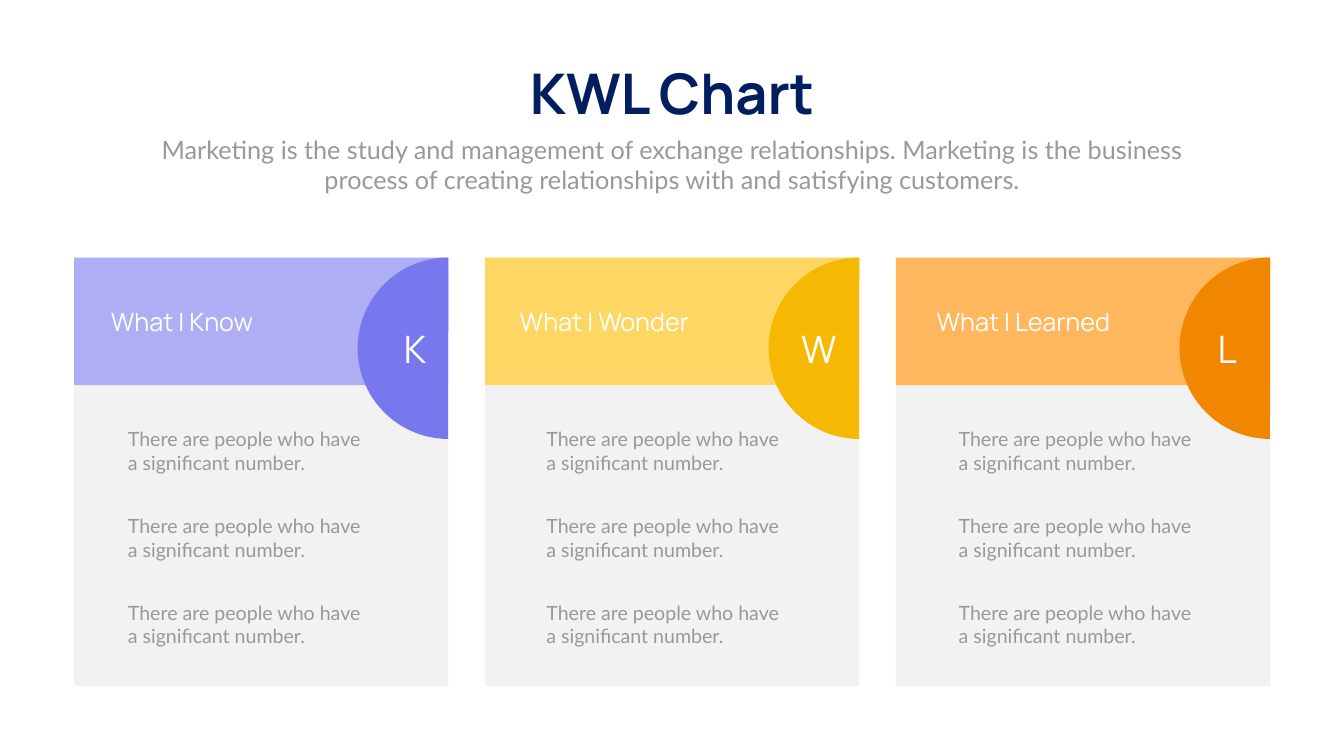
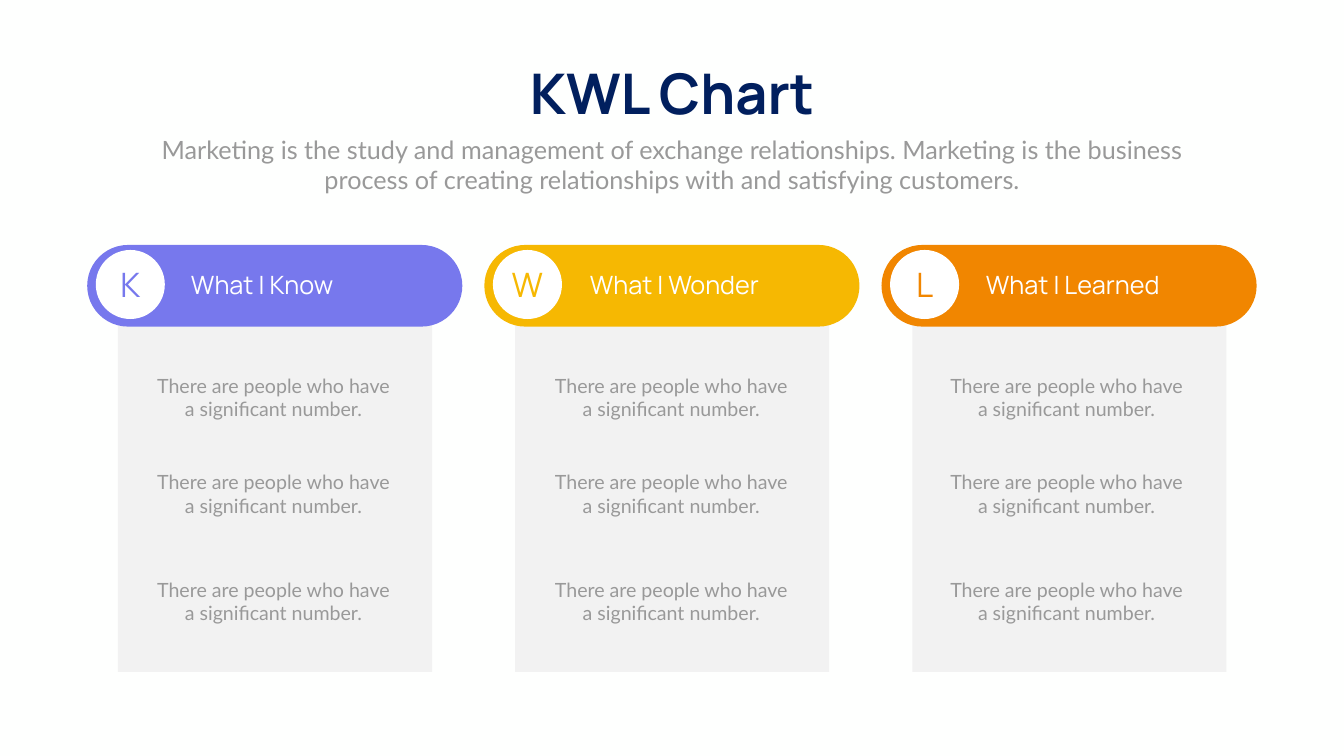
import dataclasses
import pptx
import pptx.util
import pptx.dml.color
import pptx.enum.shapes
import pptx.enum.text

KIND = pptx.enum.shapes.MSO_SHAPE
ALIGN = pptx.enum.text.PP_ALIGN
FIT = pptx.enum.text.MSO_AUTO_SIZE
MIDDLE = pptx.enum.text.MSO_ANCHOR.MIDDLE


@dataclasses.dataclass(frozen=True)
class Theme:
    width: float = 26.66
    height: float = 15
    cols: int = 80
    rows: int = 45
    head: str = "Manrope"
    body: str = "Lato"
    back: str = "FEFFFE"
    navy: str = "011F5E"
    gray: str = "999999"
    panel: str = "F2F2F2"
    white: str = "FFFFFF"
    bold: tuple = ("7778ED", "F6B802", "F18600")
    pale: tuple = ("ADAEF4", "FED663", "FFB75E")
    title: int = 80
    lead: int = 36
    small: int = 28
    large: int = 54
    mark: int = 48


TITLE = "KWL Chart"
LEAD = ("Marketing is the study and management of exchange relationships. "
        "Marketing is the business process of creating relationships with "
        "and satisfying customers.")
HEADS = ("What I Know", "What I Wonder", "What I Learned")
MARKS = "KWL"
POINT = "There are people who have a significant number."


def paint(fill, color):
    fill.solid()
    fill.fore_color.rgb = pptx.dml.color.RGBColor.from_string(color)


def write(frame, text, *, size, color, font, bold=False, align=ALIGN.LEFT):
    para = frame.paragraphs[0]
    para.alignment = align
    run = para.add_run()
    run.text = text
    run.font.name = font
    run.font.size = pptx.util.Pt(size)
    run.font.bold = bold
    run.font.color.rgb = pptx.dml.color.RGBColor.from_string(color)


class Deck:
    def __init__(self, theme):
        self.theme = theme
        self.file = pptx.Presentation()
        self.file.slide_width = pptx.util.Inches(theme.width)
        self.file.slide_height = pptx.util.Inches(theme.height)
        self.slide = None

    def place(self, left, top, wide, high):
        col = self.file.slide_width / self.theme.cols
        row = self.file.slide_height / self.theme.rows
        return [round(n * unit) for n, unit in
                ((left, col), (top, row), (wide, col), (high, row))]

    def start(self):
        look = self.theme
        self.slide = self.file.slides.add_slide(self.file.slide_layouts[6])
        paint(self.slide.background.fill, look.back)
        self.text(TITLE, (30.63, 3.36, 18.75, 4.35), wrap=False, size=look.title,
                  color=look.navy, font=look.head, bold=True, align=ALIGN.CENTER)
        self.text(LEAD, (8.76, 7.83, 62.48, 3.93), size=look.lead,
                  color=look.gray, font=look.body, align=ALIGN.CENTER)

    def text(self, text, box, wrap=True, **form):
        frame = self.slide.shapes.add_textbox(*self.place(*box)).text_frame
        frame.word_wrap = wrap
        frame.auto_size = FIT.SHAPE_TO_FIT_TEXT
        write(frame, text, **form)

    def shape(self, kind, box, fill, turns=()):
        item = self.slide.shapes.add_shape(kind, *self.place(*box))
        item.shadow.inherit = False
        item.line.fill.background()
        paint(item.fill, fill)
        for i, turn in enumerate(turns):
            item.adjustments[i] = turn
        return item

    def disc(self, mark, box, color):
        look = self.theme
        frame = self.shape(KIND.OVAL, box, look.white).text_frame
        frame.vertical_anchor = MIDDLE
        write(frame, mark, size=look.mark, color=color, font=look.head,
              align=ALIGN.CENTER)

    def label(self, text, box):
        look = self.theme
        self.text(text, box, size=look.lead, color=look.white, font=look.head)

    def points(self, left, tops, align=ALIGN.LEFT):
        look = self.theme
        for top in tops:
            self.text(POINT, (left, top, 15.03, 3.12), size=look.small,
                      color=look.gray, font=look.body, align=align)


def cards(deck):
    look = deck.theme
    deck.start()
    top, wide = 15.33, 22.27
    tops = [25.29 + 5.16 * i for i in range(3)]
    spots = ((6.3, 22.09, 7.32), (30.64, 46.12, 32.23), (55.45, 70.43, 56.77))
    for i, (head, mark, point) in enumerate(spots):
        left = 4.41 + 24.46 * i
        deck.shape(KIND.RECTANGLE, (left, top, wide, 25.5), look.panel)
        deck.shape(KIND.RECTANGLE, (left, top, wide, 7.59), look.pale[i])
        deck.shape(KIND.CHORD, (left + 16.88, top, 10.8, 10.8), look.bold[i],
                   turns=(54.1, 162))
        deck.label(HEADS[i], (head, 18.06, 11.97, 2.13))
        deck.text(MARKS[i], (mark, 19.23, 5.25, 3.03), size=look.large,
                  color=look.white, font=look.head, align=ALIGN.CENTER)
        deck.points(point, tops)


def pills(deck):
    look = deck.theme
    deck.start()
    spots = ((11.07, 8.76), (34.81, 32.44), (58.39, 55.97))
    for i, (head, point) in enumerate(spots):
        left = 5.19 + 23.64 * i
        deck.shape(KIND.RECTANGLE, (left + 1.83, 17.82, 18.7, 22.17), look.panel)
        deck.shape(KIND.ROUNDED_RECTANGLE, (left, 14.58, 22.33, 4.86),
                   look.bold[i], turns=(0.5,))
        deck.disc(MARKS[i], (left + 0.51, 14.88, 4.11, 4.11), look.bold[i])
        deck.label(HEADS[i], (head, 15.9, 13.32, 2.13))
        deck.points(point, (22.08, 27.84, 34.23), ALIGN.CENTER)


def main():
    deck = Deck(Theme())
    cards(deck)
    pills(deck)
    deck.file.save("out.pptx")


if __name__ == "__main__":
    main()
